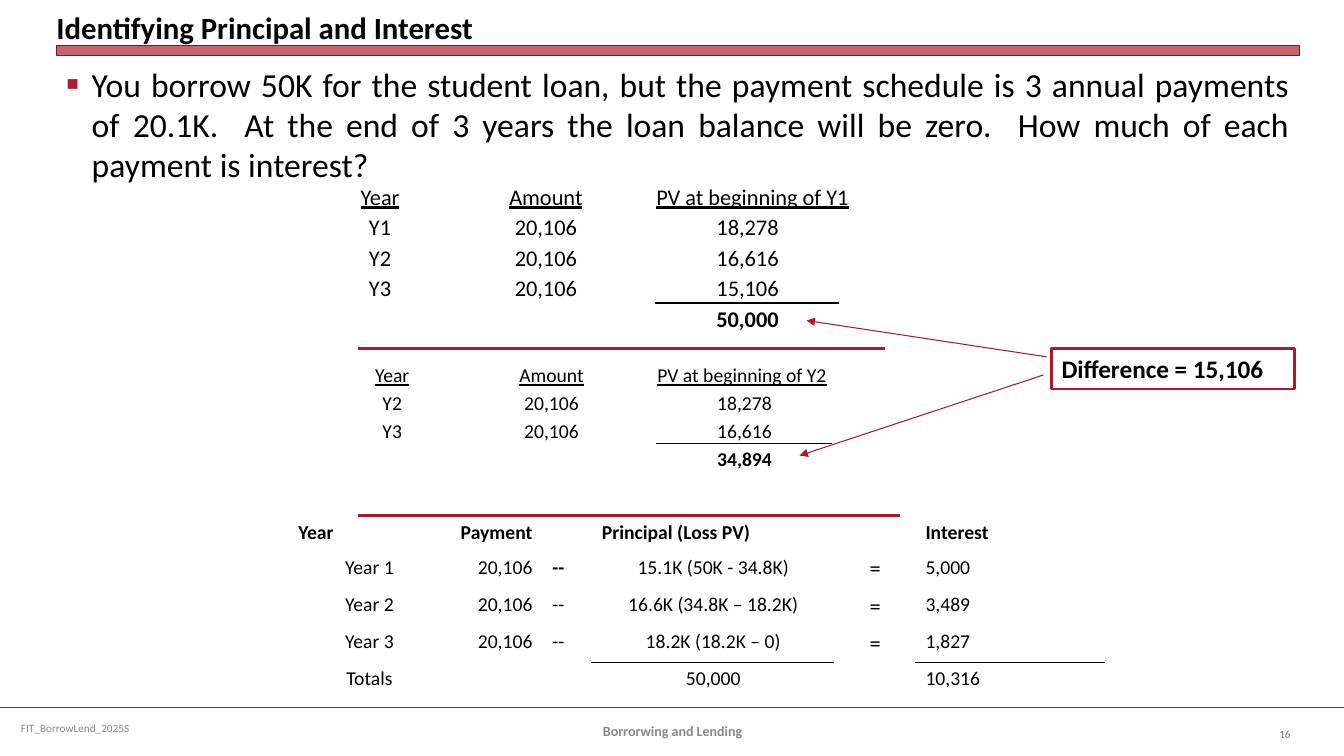
from lxml import etree
from pptx import Presentation
from pptx import util as u
from pptx.dml.color import RGBColor
from pptx.enum import shapes, text
from pptx.oxml import ns

WIDE, HIGH = 13.33, 7.5
LEFT, SPAN = 0.56, 12.33
RED, ROSE, BLACK, WHITE = "B0182A", "B01C2E", "000000", "FFFFFF"
GREY, SILVER = "898989", "808080"
MID, START = text.MSO_ANCHOR.MIDDLE, text.MSO_ANCHOR.TOP
L, C, R = text.PP_ALIGN.LEFT, text.PP_ALIGN.CENTER, text.PP_ALIGN.RIGHT

TITLE = "Identifying Principal and Interest"
ASK = ("You borrow 50K for the student loan, but the payment schedule is 3 "
       "annual payments of 20.1K.  At the end of 3 years the loan balance will "
       "be zero.  How much of each payment is interest?")
FIRST = [
    ["Year", "Amount", "PV at beginning of Y1", "", ""],
    ["Y1", "20,106", "18,278", "", ""],
    ["Y2", "20,106", "16,616", "", ""],
    ["Y3", "20,106", "15,106", "", ""],
    ["", "", "50,000", "", ""],
]
SECOND = [
    ["Year", "Amount", "PV at beginning of Y2", "", ""],
    ["Y2", "20,106", "18,278", "", ""],
    ["Y3", "20,106", "16,616", "", ""],
    ["", "", "34,894", "", ""],
]
SPLIT = [
    ["Year", "Payment", "Principal (Loss PV)", "", "Interest"],
    ["Year 1", "20,106\t--", "15.1K (50K - 34.8K)", "=", "5,000"],
    ["Year 2", "20,106\t--", "16.6K (34.8K – 18.2K)", "=", "3,489"],
    ["Year 3", "20,106\t--", "18.2K (18.2K – 0)", "=", "1,827"],
    ["Totals", "", "50,000", "", "10,316"],
]
# text, place, size, colour, bold, alignment
FOOT = [
    ("FIT_BorrowLend_2025S", (0.11, 7.02, 3.44, 0.4), 8, GREY, False, L),
    ("16", (12.23, 7.08, 0.67, 0.4), 8, SILVER, False, R),
    ("Borrorwing and Lending", (4.56, 7.05, 4.22, 0.4), 10, GREY, True, C),
]
# from, to, colour, width, arrow
LINES = [
    ((0, 7.02), (WIDE, 7.02), ROSE, 1.25, False),
    ((3.55, 3.46), (8.78, 3.46), RED, 2.25, False),
    ((10.38, 3.54), (8, 3.18), RED, 0.75, True),
    ((10.35, 3.72), (7.93, 4.52), RED, 0.75, True),
    ((3.55, 5.11), (8.93, 5.11), RED, 2.25, False),
]


def rgb(code):
    return RGBColor.from_string(code)


def inches(nums):
    return [u.Inches(n) for n in nums]


def add(node, tag, **attrs):
    return etree.SubElement(node, ns.qn("a:" + tag), attrs)


def place(shape, box):
    shape.left, shape.top, shape.width, shape.height = inches(box)


def style(para, size, color=BLACK, bold=False, align=L):
    para.alignment = align
    font = para.font
    font.name, font.size, font.bold = "Calibri", u.Pt(size), bold
    font.color.rgb = rgb(color)


def edge(cell, dark):
    """Draw white cell borders, black on the sides named in dark."""
    props = cell._tc.get_or_add_tcPr()
    for side in "LRTB":
        line = add(props, "ln" + side, w=str(u.Pt(1)))
        fill = add(line, "solidFill")
        add(fill, "srgbClr", val=BLACK if side in dark else WHITE)
    cell.fill.background()


def grid(slide, rows, spot, cols, highs, size, tight, sums):
    """Add a table whose last row holds totals ruled off in the sums columns."""
    box = (*spot, sum(cols), sum(highs))
    table = slide.shapes.add_table(len(rows), len(cols), *inches(box)).table
    table.first_row = table.horz_banding = False
    for col, wide in zip(table.columns, cols):
        col.width = u.Inches(wide)
    for row, high in zip(table.rows, highs):
        row.height = u.Inches(high)
    last = len(rows) - 1
    for i, row in enumerate(rows):
        for j, words in enumerate(row):
            cell = table.cell(i, j)
            para = cell.text_frame.paragraphs[0]
            pay = "\t" in words
            if tight:
                cell.margin_left = cell.margin_right = u.Inches(0.01)
                cell.margin_top, cell.margin_bottom = u.Inches(0.01), 0
                cell.vertical_anchor = text.MSO_ANCHOR.BOTTOM
                left, bold = (i, j) == (0, 2), i == last
            else:
                left, bold = i == 0 or j == 4 or pay, i == 0
            if pay:
                cell.margin_left = u.Inches(0.27)
                tabs = add(para._p.get_or_add_pPr(), "tabLst")
                add(tabs, "tab", pos=str(u.Inches(0.74)), algn="l")
            points = 16 if words == "=" else size
            style(para, points, BLACK, bold, L if left else C)
            if tight and i == 0:
                para.font.underline = True
            if pay:
                sum_run, dash = para.add_run(), para.add_run()
                sum_run.text, dash.text = words[:-2], words[-2:]
                if i == 1:
                    dash.font.bold = True
            elif words:
                para.add_run().text = words
            else:
                para._p.get_or_add_endParaRPr().set("sz", str(points * 100))
            side = {last - 1: "B", last: "T"}.get(i, "")
            edge(cell, side if j in sums else "")
    if tight:
        table.cell(0, 2).merge(table.cell(0, 4))


def join(slide, start, end, color, width, arrow):
    line = slide.shapes.add_connector(
        shapes.MSO_CONNECTOR.STRAIGHT, *inches(start + end))
    line.line.color.rgb = rgb(color)
    line.line.width = u.Pt(width)
    if arrow:
        add(line.line._get_or_add_ln(), "tailEnd", type="triangle")
    add(line._element.spPr, "effectLst")


def block(slide, box, color, width):
    shape = slide.shapes.add_shape(shapes.MSO_SHAPE.RECTANGLE, *inches(box))
    shape.shadow.inherit = False
    shape.line.color.rgb = rgb(color)
    shape.line.width = u.Pt(width)
    return shape


def head(slide):
    """Fill the title and body placeholders and add the bar between them."""
    bar = block(slide, (LEFT, 0.45, SPAN, 0.1), "821522", 0)
    bar.fill.solid()
    bar.fill.fore_color.rgb = rgb(ROSE)
    tint = bar._element.spPr.find(".//" + ns.qn("a:srgbClr"))
    add(tint, "alpha", val="69000")

    title, body = slide.placeholders
    place(title, (LEFT, 0.05, SPAN, 0.4))
    place(body, (LEFT, 0.58, SPAN, 6.36))
    for shape, words in ((title, TITLE), (body, ASK)):
        shape.text_frame.text = words
        shape.text_frame.auto_size = text.MSO_AUTO_SIZE.NONE
    frame = title.text_frame
    frame.margin_left = frame.margin_right = 0
    frame.margin_top = frame.margin_bottom = 0
    frame.vertical_anchor = text.MSO_ANCHOR.BOTTOM
    style(frame.paragraphs[0], 22, bold=True)

    para = body.text_frame.paragraphs[0]
    props = para._p.get_or_add_pPr()
    props.set("marL", str(u.Inches(0.25)))
    props.set("indent", str(-u.Inches(0.25)))
    add(add(props, "buClr"), "srgbClr", val=ROSE)
    add(props, "buSzPct", val="60000")
    add(props, "buChar", char="■")
    para.space_before = u.Pt(0)
    style(para, 24, align=text.PP_ALIGN.JUSTIFY)


def main():
    deck = Presentation()
    deck.slide_width, deck.slide_height = inches((WIDE, HIGH))
    slide = deck.slides.add_slide(deck.slide_layouts[1])
    head(slide)
    for words, box, size, color, bold, align in FOOT:
        frame = slide.shapes.add_textbox(*inches(box)).text_frame
        frame.word_wrap, frame.vertical_anchor = True, MID
        frame.text = words
        style(frame.paragraphs[0], size, color, bold, align)
    grid(slide, FIRST, (3.21, 1.79), (1.12, 2.17, 1.83, 0.12, 1.12),
         [1.52 / 5] * 5, 16, True, (2,))
    grid(slide, SECOND, (3.35, 3.57), (1.08, 2.08, 1.75, 0.12, 1.08),
         [1.11 / 4] * 4, 14, True, (2,))
    grid(slide, SPLIT, (2.86, 5.12), (1.61, 1.4, 2.41, 0.8, 1.87),
         [0.34] + [0.37] * 4, 14, False, (2, 4))
    for line in LINES:
        join(slide, *line)
    gap = block(slide, (10.43, 3.46, 2.41, 0.4), RED, 2)
    gap.fill.background()
    gap.text_frame.text = "Difference = 15,106"
    gap.text_frame.vertical_anchor = START
    style(gap.text_frame.paragraphs[0], 18, bold=True)
    deck.save("out.pptx")


if __name__ == "__main__":
    main()
